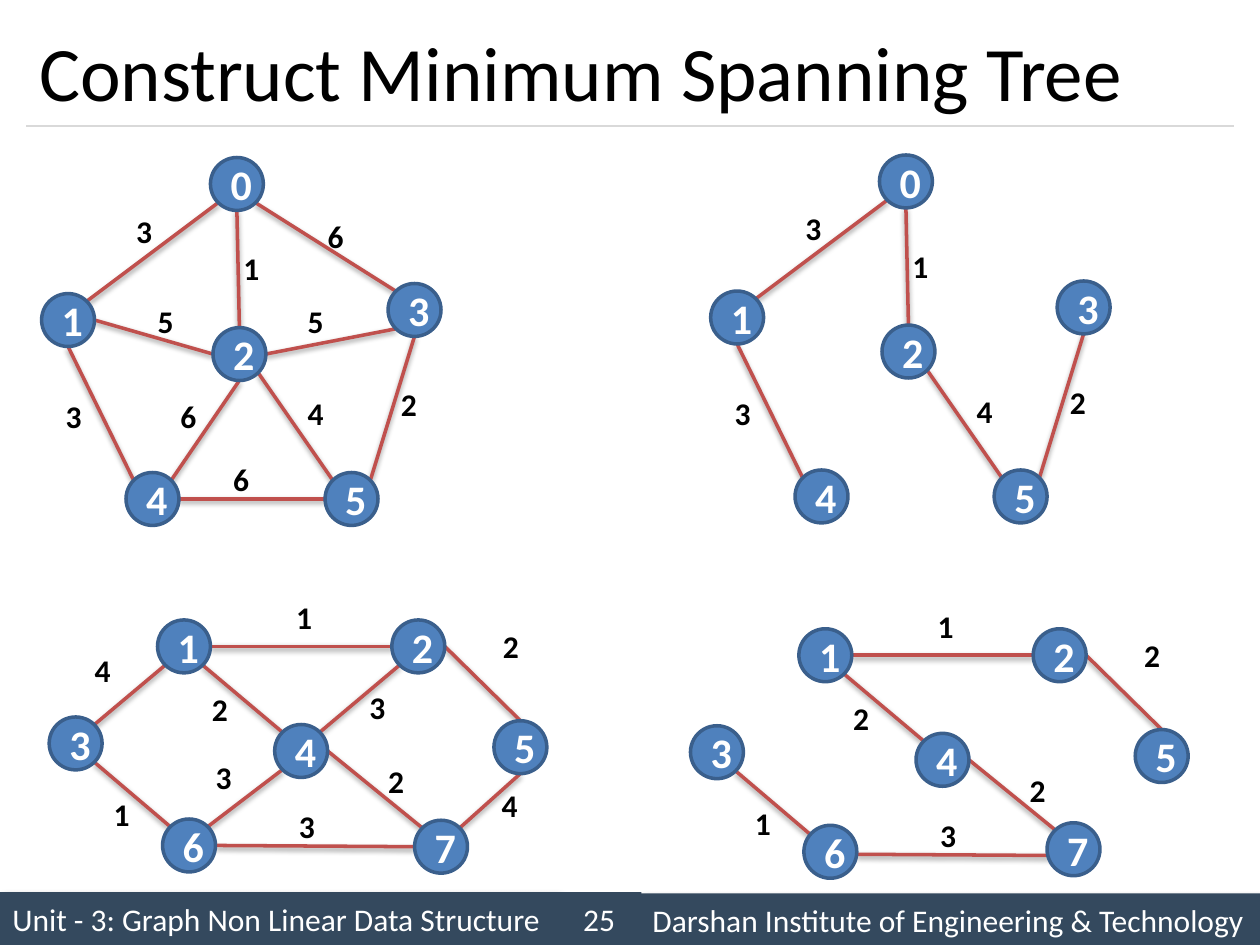
import pptx
import pptx.dml.color
import pptx.enum.shapes
import pptx.enum.text
import pptx.oxml
import pptx.oxml.ns
import pptx.util

RGBColor = pptx.dml.color.RGBColor
MSO_SHAPE = pptx.enum.shapes.MSO_SHAPE
PP_ALIGN = pptx.enum.text.PP_ALIGN
Pt = pptx.util.Pt

BLACK = RGBColor(0x00, 0x00, 0x00)
WHITE = RGBColor(0xFF, 0xFF, 0xFF)
NAVY = RGBColor(0x34, 0x49, 0x5E)
RULE_GREY = RGBColor(0xD9, 0xD9, 0xD9)
NODE_BLUE = RGBColor(0x4F, 0x81, 0xBD)
NODE_BORDER = RGBColor(0x3A, 0x5F, 0x8C)
EDGE_RED = RGBColor(0xC0, 0x50, 0x4D)

PX = 9144  # 100 px to the inch
NODE_SIZE = 42
RADIUS = NODE_SIZE // 2
DIAGONAL = 15
SITES = {
    "n": (0, -RADIUS), "s": (0, RADIUS), "w": (-RADIUS, 0), "e": (RADIUS, 0),
    "nw": (-DIAGONAL, -DIAGONAL), "ne": (DIAGONAL, -DIAGONAL),
    "sw": (-DIAGONAL, DIAGONAL), "se": (DIAGONAL, DIAGONAL),
}

# Nodes: label -> left, top.
# Edges: node, site, node, site, weight, weight left, weight top, in the tree.
PENTAGON_NODES = {
    "0": (167, 125), "1": (33, 233), "2": (169, 260),
    "3": (308, 225), "4": (100, 375), "5": (258, 375),
}
PENTAGON_EDGES = [
    ("0", "sw", "1", "ne", "3", 98, 163, True),
    ("1", "s", "4", "nw", "3", 42, 310, True),
    ("4", "e", "5", "w", "6", 175, 360, False),
    ("3", "s", "5", "ne", "2", 308, 301, True),
    ("0", "se", "3", "nw", "6", 250, 167, False),
    ("0", "s", "2", "n", "1", 183, 193, True),
    ("1", "e", "2", "w", "5", 115, 235, False),
    ("4", "ne", "2", "s", "6", 133, 310, False),
    ("2", "e", "3", "sw", "5", 234, 235, False),
    ("2", "se", "5", "nw", "4", 234, 308, True),
]
HEXAGON_NODES = {
    "1": (125, 492), "2": (311, 492), "3": (39, 569), "4": (218, 575),
    "5": (392, 572), "6": (129, 650), "7": (329, 651),
}
HEXAGON_EDGES = [
    ("1", "sw", "3", "ne", "4", 65, 512, False),
    ("3", "se", "6", "nw", "1", 80, 626, True),
    ("1", "e", "2", "w", "1", 225, 470, True),
    ("6", "e", "7", "w", "3", 227, 636, True),
    ("1", "se", "4", "nw", "2", 158, 543, True),
    ("6", "ne", "4", "sw", "3", 161, 597, False),
    ("4", "ne", "2", "sw", "3", 283, 541, False),
    ("4", "e", "7", "nw", "2", 298, 600, True),
    ("2", "e", "5", "n", "2", 389, 493, True),
    ("5", "s", "7", "ne", "4", 388, 619, False),
]
# nodes, edges, x shift, y shift, tree only, nudged nodes
GRAPHS = [
    (PENTAGON_NODES, PENTAGON_EDGES, 0, 0, False, {}),
    (PENTAGON_NODES, PENTAGON_EDGES, 531, -2, True, {}),
    (HEXAGON_NODES, HEXAGON_EDGES, 0, 0, False, {}),
    (HEXAGON_NODES, HEXAGON_EDGES, 509, 7, True, {"6": (0, -2), "7": (-7, -5)}),
]


def set_text(shape, text, size, color, bold=False, align=PP_ALIGN.CENTER):
    shape.text_frame.text = text
    paragraph = shape.text_frame.paragraphs[0]
    paragraph.alignment = align
    font = paragraph.runs[0].font
    font.name, font.size, font.bold = "Calibri", Pt(size), bold
    font.color.rgb = color


def add_shadow(shape, opacity, blur, distance, angle):
    """Lengths in points, opacity in percent; call after fill and line are set."""
    shape._element.spPr.append(pptx.oxml.parse_xml(
        f'<a:effectLst {pptx.oxml.ns.nsdecls("a")}>'
        f'<a:outerShdw blurRad="{Pt(blur)}" dist="{Pt(distance)}" dir="{angle * 60000}" rotWithShape="0">'
        f'<a:srgbClr val="000000"><a:alpha val="{opacity * 1000}"/></a:srgbClr>'
        '</a:outerShdw></a:effectLst>'))


presentation = pptx.Presentation()
presentation.slide_width = 1000 * PX
presentation.slide_height = 750 * PX
slide = presentation.slides.add_slide(presentation.slide_layouts[5])
shapes = slide.shapes

# Footer bar
for left, top, width, text, align, shadowed in [
    (0, 708, 442, "Unit - 3: Graph Non Linear Data Structure", PP_ALIGN.LEFT, True),
    (508, 709, 492, "Darshan Institute of Engineering & Technology", PP_ALIGN.LEFT, True),
    (442, 708, 67, "25", PP_ALIGN.CENTER, False),
]:
    footer = shapes.add_shape(MSO_SHAPE.RECTANGLE, left * PX, top * PX, width * PX, 42 * PX)
    footer.fill.solid()
    footer.fill.fore_color.rgb = NAVY
    footer.line.fill.background()
    if shadowed:
        add_shadow(footer, 40, 4, 3, 45)
    else:
        footer.shadow.inherit = False
    set_text(footer, text, 18, WHITE, align=align)

# Title and the rule under it
title = shapes.title
title.left, title.top, title.width, title.height = 21 * PX, 12 * PX, 958 * PX, 88 * PX
title.text_frame.vertical_anchor = pptx.enum.text.MSO_ANCHOR.MIDDLE
set_text(title, "Construct Minimum Spanning Tree", 44, BLACK, align=PP_ALIGN.LEFT)

STRAIGHT = pptx.enum.shapes.MSO_CONNECTOR.STRAIGHT
rule = shapes.add_connector(STRAIGHT, 21 * PX, 100 * PX, 979 * PX, 100 * PX)
rule.line.color.rgb = RULE_GREY
rule.line.width = Pt(0.75)
rule._element.spPr.append(pptx.oxml.parse_xml(f'<a:effectLst {pptx.oxml.ns.nsdecls("a")}/>'))

# Graphs on the left, their spanning trees on the right
for nodes, edges, shift_x, shift_y, tree_only, nudges in GRAPHS:
    for start, start_site, end, end_site, weight, left, top, in_tree in edges:
        if tree_only and not in_tree:
            continue
        ends = []
        for node, site in ((start, start_site), (end, end_site)):
            ends.append((nodes[node][0] + RADIUS + SITES[site][0] + shift_x) * PX)
            ends.append((nodes[node][1] + RADIUS + SITES[site][1] + shift_y) * PX)
        edge = shapes.add_connector(STRAIGHT, *ends)
        edge.line.color.rgb = EDGE_RED
        edge.line.width = Pt(2)
        add_shadow(edge, 38, 3.1, 1.6, 90)

        label = shapes.add_textbox((left + shift_x) * PX, (top + shift_y) * PX, 33 * PX, 40 * PX)
        label.text_frame.word_wrap = False
        label.text_frame.auto_size = pptx.enum.text.MSO_AUTO_SIZE.SHAPE_TO_FIT_TEXT
        set_text(label, weight, 18, BLACK, bold=True)

    for name, (left, top) in nodes.items():
        nudge_x, nudge_y = nudges.get(name, (0, 0))
        circle = shapes.add_shape(
            MSO_SHAPE.OVAL, (left + shift_x + nudge_x) * PX, (top + shift_y + nudge_y) * PX,
            NODE_SIZE * PX, NODE_SIZE * PX)
        circle.shadow.inherit = False
        circle.fill.solid()
        circle.fill.fore_color.rgb = NODE_BLUE
        circle.line.color.rgb = NODE_BORDER
        circle.line.width = Pt(2)
        set_text(circle, name, 24, WHITE, bold=True)

presentation.save("out.pptx")
